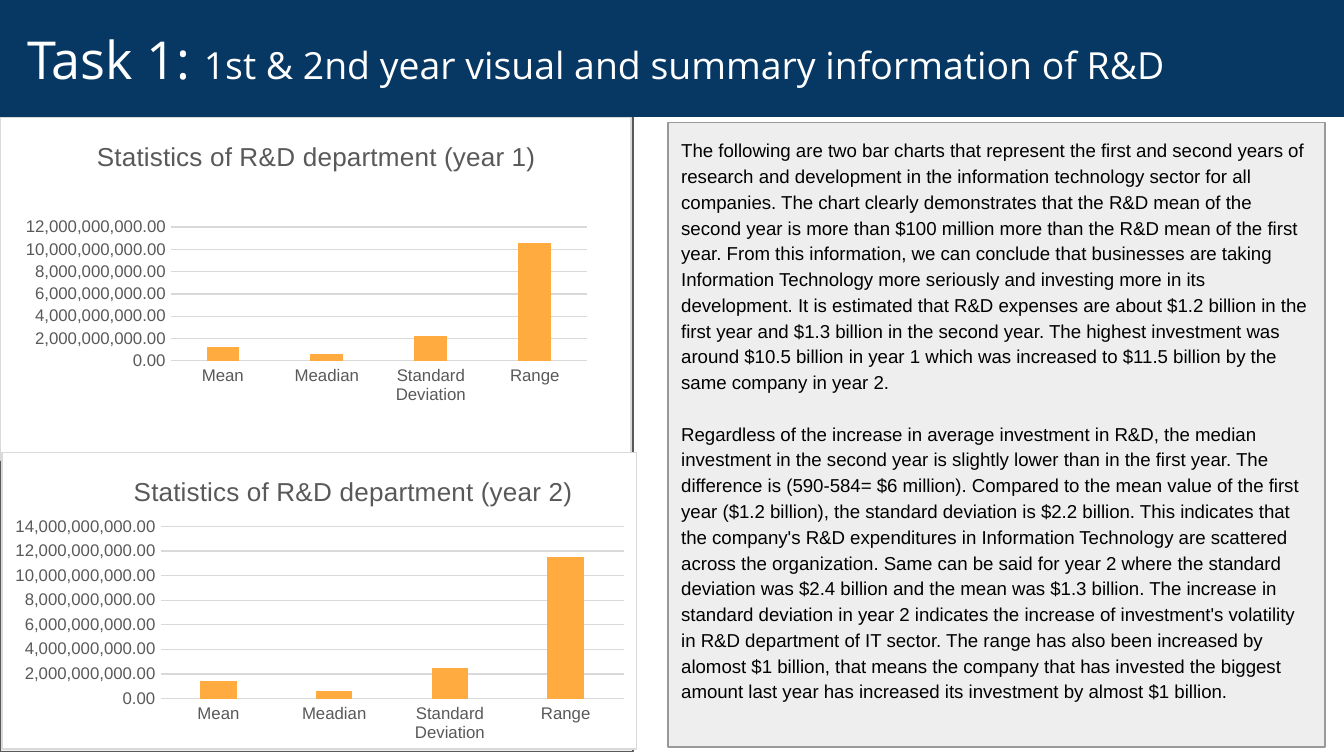
from lxml import etree
from pptx import Presentation
from pptx.chart.data import CategoryChartData
from pptx.dml.color import RGBColor
from pptx.enum.chart import XL_CHART_TYPE, XL_TICK_MARK
from pptx.enum.shapes import MSO_SHAPE
from pptx.enum.text import MSO_ANCHOR, PP_ALIGN
from pptx.oxml import parse_xml
from pptx.oxml.ns import nsdecls, qn
from pptx.util import Pt

COLUMNS = XL_CHART_TYPE.COLUMN_CLUSTERED
NO_TICK = XL_TICK_MARK.NONE
RECTANGLE = MSO_SHAPE.RECTANGLE
MIDDLE, TOP = MSO_ANCHOR.MIDDLE, MSO_ANCHOR.TOP
LEFT = PP_ALIGN.LEFT

NAVY, WHITE, BLACK = "073763", "FFFFFF", "000000"
PALE, GREY, DARK, RULE, ORANGE = "EEEEEE", "999999", "595959", "D9D9D9", "FFAB40"

CATEGORIES = ["Mean", "Meadian", "Standard Deviation", "Range"]
BILLION = 1_000_000_000
YEARS = [
    # box, title position, plot rectangle, values and axis top in billions
    ("1", (0, 62.64, 338.4, 184.32), (0.145, 0.05), (0.27, 0.32, 0.66, 0.39),
     (1.2, 0.6, 2.2, 10.6), 12),
    ("2", (0.72, 241.92, 340.56, 159.84), (0.2, 0.06), (0.25, 0.25, 0.73, 0.58),
     (1.4, 0.6, 2.5, 11.5), 14),
]
# Each paragraph is a list of sentences
SUMMARY = [
    ["The following are two bar charts that represent the first and second years of "
     "research and development in the information technology sector for all companies.",
     "The chart clearly demonstrates that the R&D mean of the second year is more than "
     "$100 million more than the R&D mean of the first year.",
     "From this information, we can conclude that businesses are taking Information "
     "Technology more seriously and investing more in its development.",
     "It is estimated that R&D expenses are about $1.2 billion in the first year and "
     "$1.3 billion in the second year.",
     "The highest investment was around $10.5 billion in year 1 which was increased to "
     "$11.5 billion by the same company in year 2."],
    ["Regardless of the increase in average investment in R&D, the median investment in "
     "the second year is slightly lower than in the first year.",
     "The difference is (590-584= $6 million).",
     "Compared to the mean value of the first year ($1.2 billion), the standard "
     "deviation is $2.2 billion.",
     "This indicates that the company's R&D expenditures in Information Technology are "
     "scattered across the organization.",
     "Same can be said for year 2 where the standard deviation was $2.4 billion and the "
     "mean was $1.3 billion.",
     "The increase in standard deviation in year 2 indicates the increase of "
     "investment's volatility in R&D department of IT sector.",
     "The range has also been increased by alomost $1 billion, that means the company "
     "that has invested the biggest amount last year has increased its investment by "
     "almost $1 billion."],
]


def color(value):
    """Turn a hex string into a colour."""
    return RGBColor.from_string(value)


def style(font, size, value, name="Arial"):
    """Set the size, colour and typeface of a font."""
    font.size, font.name, font.bold = Pt(size), name, False
    font.color.rgb = color(value)


def add_panel(page, box, fill, line=None):
    """Add a flat rectangle with an optional thin outline."""
    panel = page.shapes.add_shape(RECTANGLE, *map(Pt, box))
    panel.shadow.inherit = False
    panel.fill.solid()
    panel.fill.fore_color.rgb = color(fill)
    if line:
        panel.line.color.rgb = color(line)
        panel.line.width = Pt(0.75)
    else:
        panel.line.fill.background()
    return panel


def set_frame(panel, anchor, left):
    """Prepare the text frame of a panel and return it."""
    frame = panel.text_frame
    frame.word_wrap = True
    frame.vertical_anchor = anchor
    frame.margin_left = Pt(left)
    frame.margin_right = frame.margin_top = frame.margin_bottom = Pt(7.2)
    return frame


def add_banner(page, box):
    """Add the title band with its two text sizes."""
    frame = set_frame(add_panel(page, box, NAVY), MIDDLE, 14.5)
    para = frame.paragraphs[0]
    para.alignment = LEFT
    for text, size in (("Task 1: ", 28),
                       ("1st & 2nd year visual and summary information of R&D", 20)):
        span = para.add_run()
        span.text = text
        style(span.font, size, WHITE, "Open Sans")


def add_summary(page, box):
    """Add the panel of explanatory paragraphs."""
    frame = set_frame(add_panel(page, box, PALE, GREY), TOP, 7.2)
    for index, sentences in enumerate(SUMMARY):
        para = frame.add_paragraph() if index else frame.paragraphs[0]
        para.text = " ".join(sentences)
        para.alignment = LEFT
        para.line_spacing = 1.15
        para.space_before = Pt(13.8 if index else 0)
        style(para.runs[0].font, 10, BLACK)


def set_layout(parent, index, inner=False, **places):
    """Give a chart part a fixed place, as fractions of the chart."""
    for old in parent.findall(qn("c:layout")):
        parent.remove(old)
    layout = etree.Element(qn("c:layout"))
    manual = etree.SubElement(layout, qn("c:manualLayout"))
    settings = [("layoutTarget", "inner")] if inner else []
    settings += [("xMode", "edge"), ("yMode", "edge"), *places.items()]
    for tag, value in settings:
        etree.SubElement(manual, qn("c:" + tag)).set("val", str(value))
    parent.insert(index, layout)


def add_year_chart(page, year, box, title_at, plot_box, values, top):
    """Add the column chart of one year's statistics."""
    data = CategoryChartData()
    data.categories = CATEGORIES
    data.add_series("Series 1", [round(value * BILLION) for value in values])
    chart = page.shapes.add_chart(COLUMNS, *map(Pt, box), data).chart
    chart.has_legend = False
    style(chart.font, 10, BLACK)

    chart.has_title = True
    title = chart.chart_title
    title.include_in_layout = False
    title.text_frame.text = f"Statistics of R&D department (year {year})"
    style(title.text_frame.paragraphs[0].runs[0].font, 14, DARK)
    set_layout(title._element, 1, x=title_at[0], y=title_at[1])
    space = chart._chartSpace
    set_layout(space.chart.plotArea, 0, inner=True, **dict(zip("xywh", plot_box)))

    for axis in (chart.category_axis, chart.value_axis):
        axis.major_tick_mark = axis.minor_tick_mark = NO_TICK
        style(axis.tick_labels.font, 9, DARK)
    value_axis = chart.value_axis
    value_axis.minimum_scale, value_axis.maximum_scale = 0, top * BILLION
    value_axis.major_unit = 2 * BILLION
    value_axis.tick_labels.number_format = r"#,##0.00;\(#,##0.00\)"
    value_axis.tick_labels.number_format_is_linked = False
    value_axis.format.line.fill.background()
    for line in (chart.category_axis.format.line,
                 value_axis.major_gridlines.format.line):
        line.color.rgb = color(RULE)
        line.width = Pt(0.75)

    plot = chart.plots[0]
    plot.gap_width, plot.overlap, plot.vary_by_categories = 219, -27, False
    bars = plot.series[0].format.fill
    bars.solid()
    bars.fore_color.rgb = color(ORANGE)

    space.find(qn("c:chart")).addnext(parse_xml(
        f'<c:spPr {nsdecls("c", "a")}>'
        f'<a:solidFill><a:srgbClr val="{WHITE}"/></a:solidFill>'
        f'<a:ln w="{Pt(0.75)}"><a:solidFill><a:srgbClr val="{RULE}"/></a:solidFill></a:ln>'
        '</c:spPr>'))


def build():
    """Build the slide and save the deck."""
    deck = Presentation()
    deck.slide_width, deck.slide_height = Pt(720), Pt(405)
    page = deck.slides.add_slide(deck.slide_layouts[6])
    add_summary(page, (357.84, 65.52, 352.08, 334.8))
    add_panel(page, (0, 62.64, 339.12, 339.84), PALE, DARK)
    add_banner(page, (0, 0, 720, 62.64))
    for year in YEARS:
        add_year_chart(page, *year)
    deck.save("out.pptx")


build()
